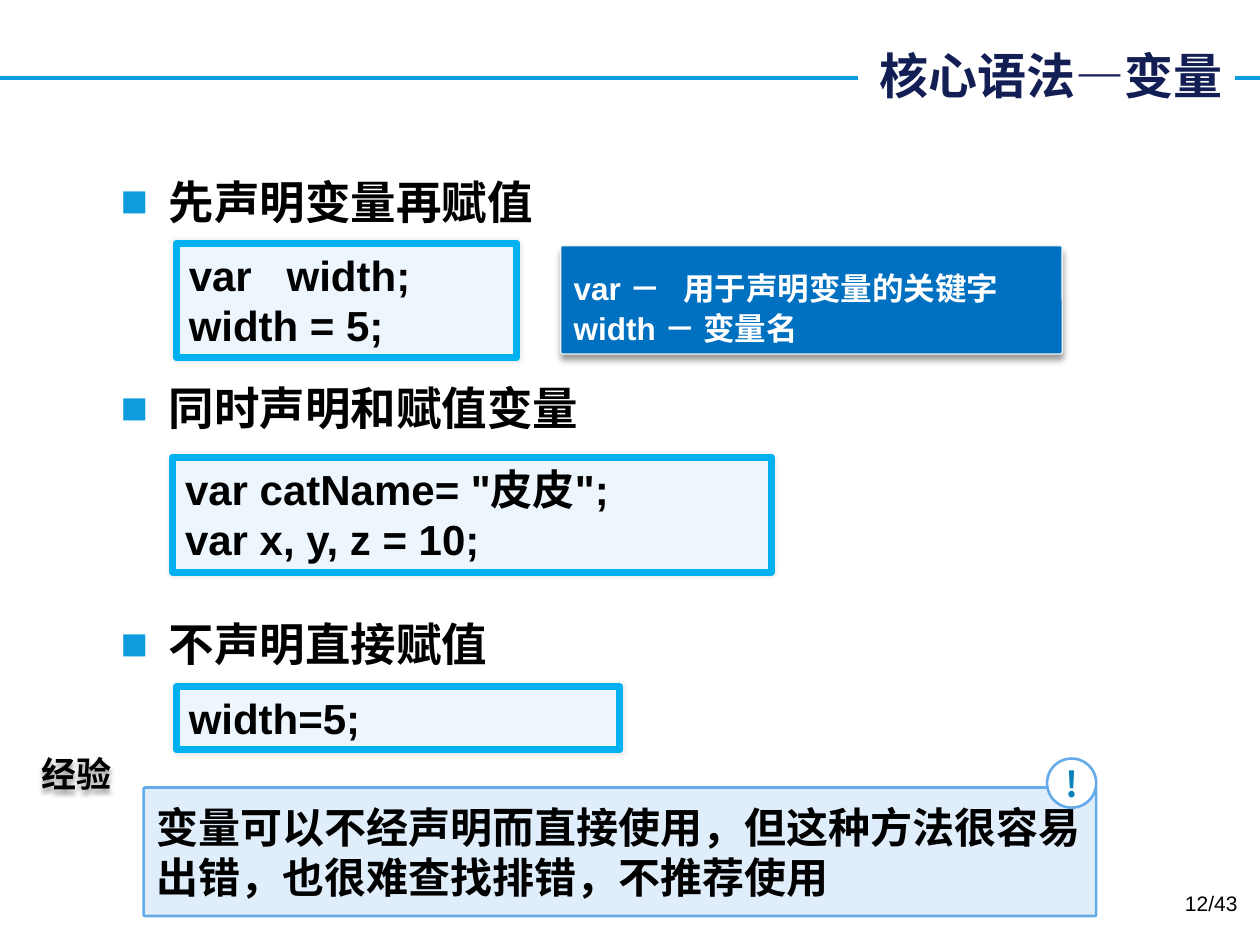
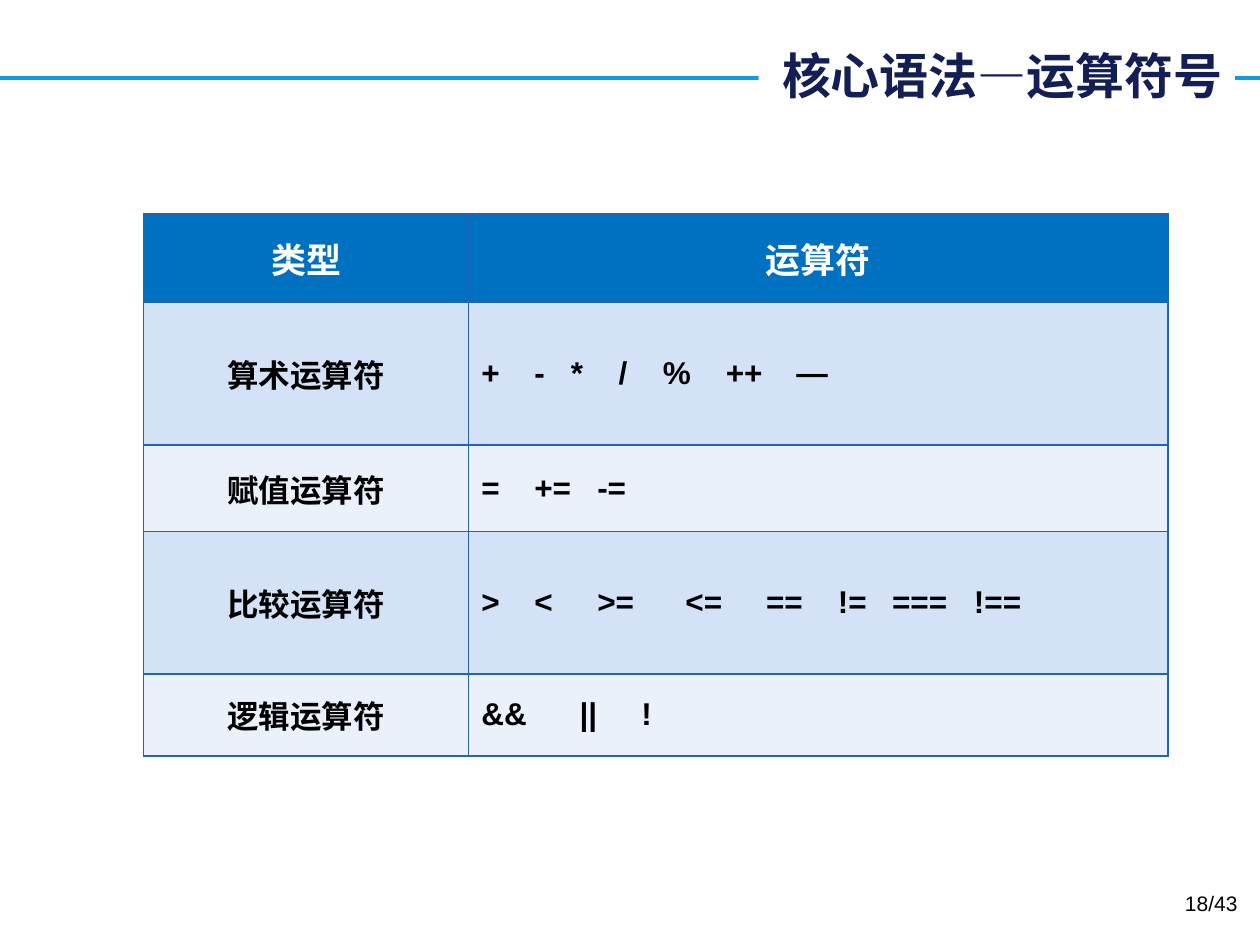
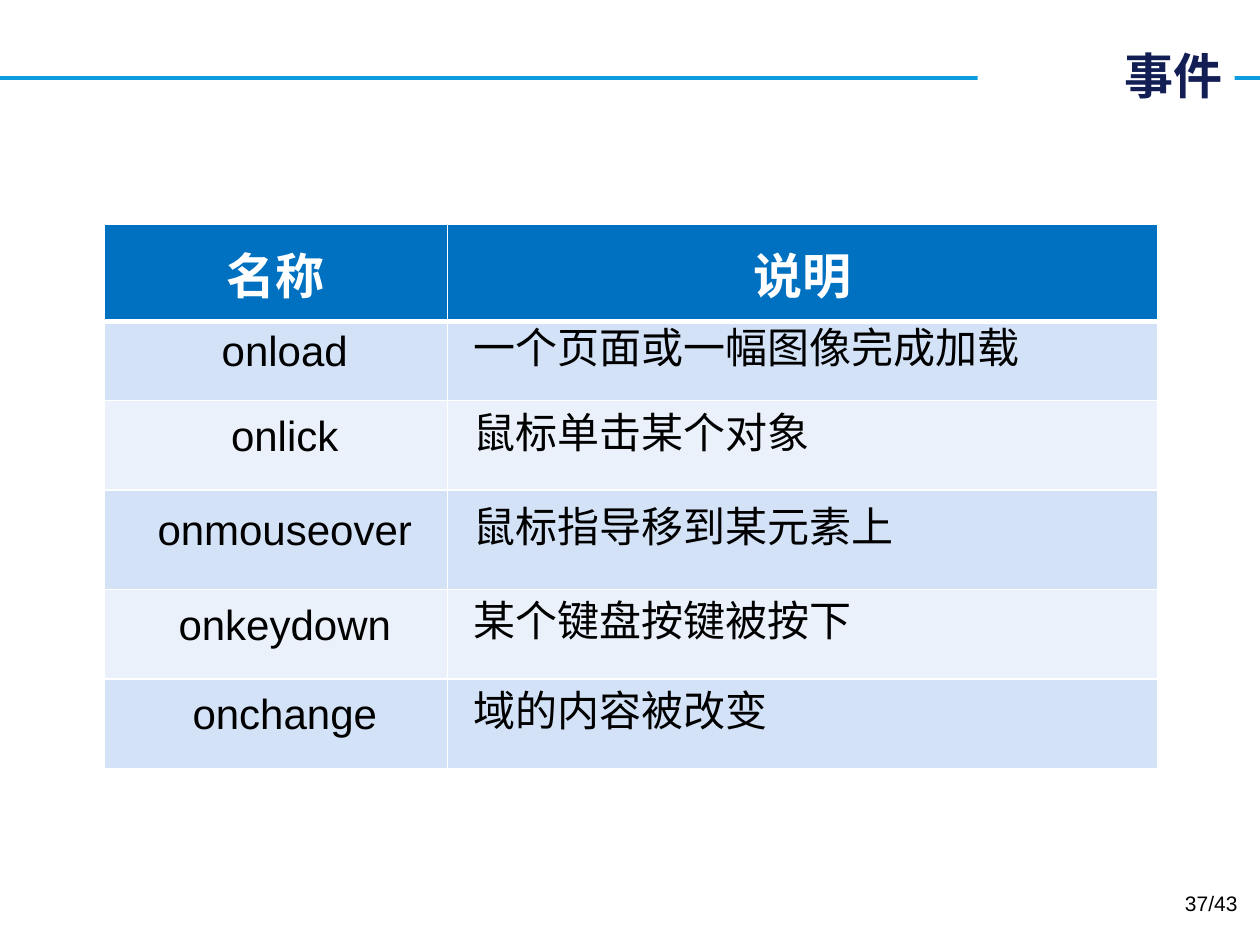
from dataclasses import dataclass

from lxml import etree
from pptx import Presentation
from pptx import util as u
from pptx.dml.color import RGBColor
from pptx.enum import shapes, text
from pptx.oxml.ns import qn

Inches, Pt = u.Inches, u.Pt
SHAPE, ALIGN, ANCHOR = shapes.MSO_SHAPE, text.PP_ALIGN, text.MSO_ANCHOR


@dataclass(frozen=True)
class Theme:
    latin: str = "Arial"
    cjk: str = "Noto Sans CJK SC"
    accent: str = "0E9CDE"
    navy: str = "121E54"
    black: str = "000000"
    white: str = "FFFFFF"
    header: str = "0070C0"
    bands: tuple = ("D3E2F7", "EAF1FB")
    grid: str = "2163B4"
    code_fill: str = "EDF5FD"
    code_line: str = "00B0F0"
    key_line: str = "F2F2F2"
    tip_fill: str = "E0EEFB"
    tip_line: str = "65AAE9"
    mark: str = "0C83B8"
    title_size: int = 28
    bullet_size: int = 26
    code_size: int = 24
    label_size: int = 20
    note_size: int = 18
    page_size: int = 12
    pages: int = 43


def add_xml(parent, tag, **attrs):
    node = etree.SubElement(parent, qn(tag))
    for name, value in attrs.items():
        node.set(name, str(value))
    return node


def inches(box):
    return [Inches(v) for v in box]


class Deck:
    def __init__(self, theme):
        self.theme = theme
        self.prs = Presentation()
        self.prs.slide_width, self.prs.slide_height = Inches(10), Inches(7.5)
        self.slide = None

    def new_slide(self, title, title_left, page):
        t = self.theme
        self.slide = self.prs.slides.add_slide(self.prs.slide_layouts[6])
        line = self.slide.shapes.add_connector(
            shapes.MSO_CONNECTOR.STRAIGHT, *inches((0, 0.62, 10, 0.62)))
        line.line.color.rgb = RGBColor.from_string(t.accent)
        line.line.width = Pt(2.25)
        add_xml(line._element.spPr, "a:effectLst")
        sp = self.shape(SHAPE.RECTANGLE, (title_left, 0.31, 9.8 - title_left, 0.57), t.white)
        self.add_lines(sp.text_frame, [title], t.title_size, t.navy, font=t.cjk,
                       align=ALIGN.RIGHT)
        self.text((7.59, 7.02, 2.33, 0.4), f"{page}/{t.pages}", t.page_size,
                  bold=False, align=ALIGN.RIGHT)

    def add_lines(self, tf, lines, size, color=None, font=None, bold=True, align=ALIGN.LEFT):
        t = self.theme
        tf.word_wrap = True
        for i, content in enumerate(lines):
            p = tf.paragraphs[0] if i == 0 else tf.add_paragraph()
            p.alignment = align
            r = p.add_run()
            r.text = content
            r.font.size, r.font.bold = Pt(size), bold
            r.font.name = font or t.latin
            r.font.color.rgb = RGBColor.from_string(color or t.black)
            add_xml(r._r.get_or_add_rPr(), "a:ea", typeface=t.cjk)
        return tf.paragraphs

    def shape(self, kind, box, fill, line=None, width=1, corner=None, anchor=ANCHOR.MIDDLE):
        sp = self.slide.shapes.add_shape(kind, *inches(box))
        sp.fill.solid()
        sp.fill.fore_color.rgb = RGBColor.from_string(fill)
        if line:
            sp.line.color.rgb = RGBColor.from_string(line)
            sp.line.width = Pt(width)
        else:
            sp.line.fill.background()
        if corner is not None:
            sp.adjustments[0] = corner
        sp.shadow.inherit = False
        sp.text_frame.vertical_anchor = anchor
        return sp

    def shadow(self, sp, alpha, blur, dist, angle):
        sp.shadow.inherit = False
        effects = sp._element.spPr.find(qn("a:effectLst"))
        outer = add_xml(effects, "a:outerShdw", blurRad=Pt(blur), dist=Pt(dist),
                        dir=angle * 60000, algn="t", rotWithShape=0)
        color = add_xml(outer, "a:srgbClr", val=self.theme.black)
        add_xml(color, "a:alpha", val=alpha * 1000)

    def text(self, box, content, size, **style):
        sp = self.slide.shapes.add_textbox(*inches(box))
        self.add_lines(sp.text_frame, [content], size, **style)
        return sp

    def tabs(self, p, stops):
        tabs = add_xml(p._p.get_or_add_pPr(), "a:tabLst")
        for stop in stops:
            add_xml(tabs, "a:tab", pos=Inches(stop), algn="l")

    def bullet(self, top, content):
        t = self.theme
        sp = self.text((0.86, top, 8.36, 0.54), content, t.bullet_size)
        pPr = sp.text_frame.paragraphs[0]._p.get_or_add_pPr()
        pPr.set("marL", str(Inches(0.38)))
        pPr.set("indent", str(Inches(-0.38)))
        add_xml(add_xml(pPr, "a:buClr"), "a:srgbClr", val=t.accent)
        add_xml(pPr, "a:buFont", typeface=t.latin)
        add_xml(pPr, "a:buChar", char="■")

    def code(self, box, lines):
        t = self.theme
        sp = self.shape(SHAPE.ROUNDED_RECTANGLE, box, t.code_fill, t.code_line, 4, 0, ANCHOR.TOP)
        self.shadow(sp, 10, 3, 0, 0)
        self.add_lines(sp.text_frame, lines, t.code_size)

    def key(self, box, lines, stop):
        t = self.theme
        sp = self.shape(SHAPE.ROUNDED_RECTANGLE, box, t.header, t.key_line, 0.75, 0.018,
                        ANCHOR.BOTTOM)
        self.shadow(sp, 40, 4, 3, 90)
        for i, p in enumerate(self.add_lines(sp.text_frame, lines, t.note_size, t.white)):
            p.line_spacing = 0.9
            p.space_before = Pt(3.6 if i else 0)
            self.tabs(p, [stop])

    def tip(self, label, content):
        t = self.theme
        sp = self.text((0.23, 5.92, 0.77, 0.44), label, t.label_size, font=t.cjk)
        sp.text_frame.word_wrap = False
        sp.text_frame.vertical_anchor = ANCHOR.MIDDLE
        self.shadow(sp, 40, 3, 2, 90)
        sp = self.shape(SHAPE.ROUNDED_RECTANGLE, (1.14, 6.25, 7.56, 1.02), t.tip_fill,
                        t.tip_line, 1.5, 0.012)
        self.add_lines(sp.text_frame, [content], t.code_size, font=t.cjk)
        sp = self.shape(SHAPE.OVAL, (8.31, 6.02, 0.39, 0.39), t.white, t.tip_line, 1.5)
        tf = sp.text_frame
        tf.margin_left = tf.margin_right = tf.margin_top = tf.margin_bottom = 0
        self.add_lines(tf, ["!"], t.label_size, t.mark, font=t.cjk, align=ALIGN.CENTER)

    def borders(self, cell, color, top, bottom):
        tcPr = cell._tc.get_or_add_tcPr()
        sides = (("L", 1), ("R", 1), ("T", top), ("B", bottom))
        for i, (side, width) in enumerate(sides):
            ln = add_xml(tcPr, f"a:ln{side}", w=Pt(width))
            add_xml(add_xml(ln, "a:solidFill"), "a:srgbClr", val=color)
            tcPr.insert(i, ln)

    def table(self, left, top, widths, heights, rows, grid, head_size, body_size,
              bold=True, head_rule=1, margins=(0.1, 0.05), first_indent=None,
              line_spacing=None, stops=None):
        t = self.theme
        box = (left, top, sum(widths), sum(heights))
        table = self.slide.shapes.add_table(len(rows), len(widths), *inches(box)).table
        for col, width in zip(table.columns, widths):
            col.width = Inches(width)
        for i, (row, height) in enumerate(zip(rows, heights)):
            table.rows[i].height = Inches(height)
            head = i == 0
            for j, content in enumerate(row):
                cell = table.cell(i, j)
                cell.fill.solid()
                cell.fill.fore_color.rgb = RGBColor.from_string(
                    t.header if head else t.bands[(i - 1) % 2])
                cell.vertical_anchor = ANCHOR.MIDDLE
                self.borders(cell, grid, head_rule if i == 1 else 1, head_rule if head else 1)
                p = self.add_lines(cell.text_frame, [content], head_size if head else body_size,
                                   t.white if head else t.black, bold=head or bold,
                                   align=ALIGN.CENTER if head or j == 0 else ALIGN.LEFT)[0]
                if head:
                    continue
                cell.margin_left = cell.margin_right = Inches(margins[0])
                cell.margin_top = cell.margin_bottom = Inches(margins[1])
                if line_spacing:
                    p.line_spacing = Pt(line_spacing)
                if first_indent:
                    p._p.get_or_add_pPr().set("indent", str(Inches(first_indent)))
                if stops and j == 1:
                    self.tabs(p, stops[i - 1])


def variables(deck):
    deck.new_slide("核心语法—变量", 6.81, 12)
    deck.bullet(1.33, "先声明变量再赋值")
    deck.bullet(2.97, "同时声明和赋值变量")
    deck.bullet(4.84, "不声明直接赋值")
    deck.key((4.45, 1.95, 3.98, 0.86), ["var －\t用于声明变量的关键字", "width － 变量名"], 0.87)
    deck.tip("经验", "变量可以不经声明而直接使用，但这种方法很容易出错，也很难查找排错，不推荐使用")
    deck.code((1.4, 1.93, 2.7, 0.91), ["var   width;", "width = 5;"])
    deck.code((1.37, 3.63, 4.75, 0.91), ['var catName= "皮皮";', "var x, y, z = 10;"])
    deck.code((1.4, 5.45, 3.52, 0.5), ["width=5;"])


def operators(deck):
    t = deck.theme
    deck.new_slide("核心语法—运算符号", 6.02, 18)
    groups = [
        ("算术运算符", "+ - * / % ++ —", (0.42, 0.71, 1.09, 1.44, 1.94, 2.5)),
        ("赋值运算符", "= += -=", (0.42, 0.92)),
        ("比较运算符", "> < >= <= == != === !==",
         (0.42, 0.92, 1.62, 2.26, 2.83, 3.26, 3.91)),
        ("逻辑运算符", "&& || !", (0.78, 1.27)),
    ]
    rows = [("类型", "运算符")] + [(kind, "\t".join(ops.split())) for kind, ops, _ in groups]
    deck.table(1.14, 1.7, (2.58, 5.55), (0.7, 1.13, 0.69, 1.13, 0.65), rows, t.grid,
               t.label_size, t.note_size, stops=[stops for _, _, stops in groups])


def events(deck):
    t = deck.theme
    deck.new_slide("事件", 7.76, 37)
    rows = [
        ("名称", "说明"),
        ("onload", "一个页面或一幅图像完成加载"),
        ("onlick", "鼠标单击某个对象"),
        ("onmouseover", "鼠标指导移到某元素上"),
        ("onkeydown", "某个键盘按键被按下"),
        ("onchange", "域的内容被改变"),
    ]
    deck.table(0.83, 1.78, (2.72, 5.64), (0.77, 0.63, 0.71, 0.79, 0.71, 0.71), rows, t.white,
               t.title_size, t.code_size, bold=False, head_rule=3, margins=(0.07, 0),
               first_indent=0.14, line_spacing=17)


def main():
    deck = Deck(Theme())
    for build in (variables, operators, events):
        build(deck)
    deck.prs.save("out.pptx")


if __name__ == "__main__":
    main()
